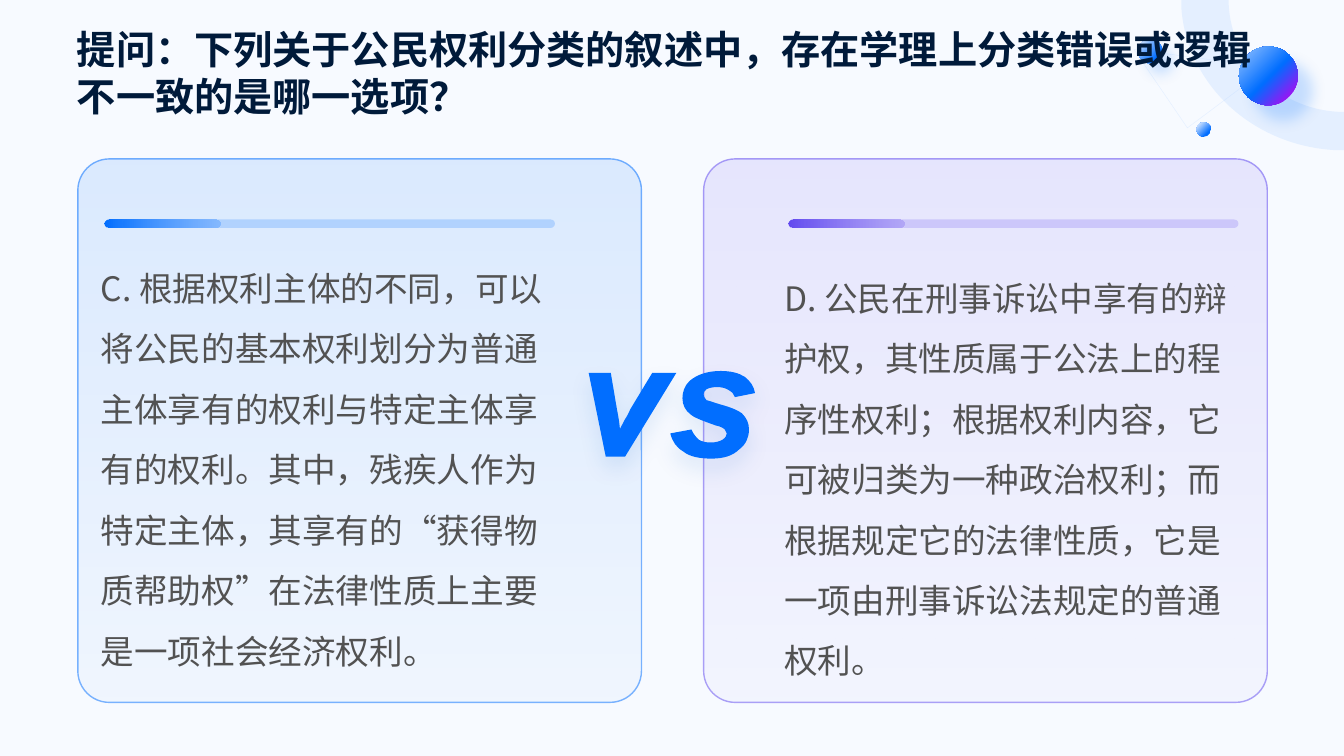
from dataclasses import dataclass

from lxml import etree
from pptx import Presentation
from pptx.dml.color import RGBColor
from pptx.enum.shapes import MSO_SHAPE
from pptx.enum.text import MSO_ANCHOR, MSO_AUTO_SIZE, PP_ALIGN
from pptx.oxml.ns import qn
from pptx.util import Pt

OVAL, ROUNDED, RECTANGLE = MSO_SHAPE.OVAL, MSO_SHAPE.ROUNDED_RECTANGLE, MSO_SHAPE.RECTANGLE
LEFT, TOP, BOTTOM = PP_ALIGN.LEFT, MSO_ANCHOR.TOP, MSO_ANCHOR.BOTTOM
NO_AUTOFIT = MSO_AUTO_SIZE.NONE
TITLE_ONLY = 5
SLIDE_WIDTH, SLIDE_HEIGHT = 960, 540


@dataclass(frozen=True)
class Theme:
    background: str = "F7FAFF"
    title: str = "001A3A"
    body: str = "525252"
    blue: str = "016EFF"
    light_blue: str = "67A8FF"
    violet: str = "624AF0"
    light_violet: str = "A192F6"
    purple: str = "9618F4"
    ring: str = "99C5FF"
    pale: str = "CCE2FF"
    shadow: str = "0052C0"
    title_font: str = "Arial"
    body_font: str = "Noto Sans CJK SC"
    title_size: int = 28
    body_size: int = 24


THEME = Theme()


@dataclass(frozen=True)
class Stop:
    position: int
    color: str
    alpha: int = 100


@dataclass(frozen=True)
class Shadow:
    color: str
    alpha: int
    blur: float
    distance: float
    angle: int


@dataclass(frozen=True)
class Ball:
    left: float
    top: float
    size: float
    stops: tuple[Stop, ...]
    shadow: Shadow | None = None


@dataclass(frozen=True)
class Panel:
    card_left: float
    content_left: float
    text_top: float
    color: str
    light: str
    text: str


TITLE = "提问：下列关于公民权利分类的叙述中，存在学理上分类错误或逻辑不一致的是哪一选项？"
PANELS = (
    Panel(55.6, 72, 176.8, THEME.blue, THEME.light_blue,
          "C. 根据权利主体的不同，可以将公民的基本权利划分为普通主体享有的权利与特定主体享有的权利。"
          "其中，残疾人作为特定主体，其享有的“获得物质帮助权”在法律性质上主要是一项社会经济权利。"),
    Panel(502.6, 560.2, 183.8, THEME.violet, THEME.light_violet,
          "D. 公民在刑事诉讼中享有的辩护权，其性质属于公法上的程序性权利；根据权利内容，"
          "它可被归类为一种政治权利；而根据规定它的法律性质，它是一项由刑事诉讼法规定的普通权利。"),
)
BALLS = (
    Ball(885, 33.2, 42, (Stop(0, THEME.ring), Stop(52, THEME.blue), Stop(85, THEME.purple)),
         Shadow(THEME.blue, 20, 10, 15, 45)),
    Ball(813, 28, 17.3, (Stop(12, THEME.pale), Stop(40, THEME.light_blue), Stop(75, THEME.blue)),
         Shadow(THEME.blue, 20, 10, 10, 45)),
    Ball(854.6, 87.3, 10.4, (Stop(13, THEME.pale), Stop(75, THEME.blue))),
)

# Outlines in points: a pair is a corner, six numbers are a cubic curve.
Outline = list[tuple[float, ...]]
TRIANGLE: Outline = [(810, 35.3), (905.8, 48.2), (848.2, 91.4)]
RING: Outline = [
    (843.8, 0), (877.7, 0), (877.7, 3.6), (879.8, 44.6, 913.7, 77.8, 956.2, 79.9),
    (960, 79.9), (960, 107.3), (954.7, 107.3), (894.9, 104.4, 847.4, 60.5, 843.8, 5)]
LETTER_V: Outline = [
    (26, 61.2), (12.2, 61.2), (0, 1.4), (15.8, 1.4), (20.2, 27.4),
    (21.6, 34.6, 22.3, 39.6, 22.3, 41.8), (22.3, 41, 23.8, 38.9, 25.9, 34.6),
    (28.8, 30.2, 29.5, 27.4, 30.2, 26.6), (45.4, 1.4), (62.6, 1.4)]
LETTER_S: Outline = [
    (58.3, 44.6), (73.4, 41.8), (74.9, 45.4, 77, 47.5, 78.5, 49),
    (80.6, 50.4, 83.5, 51.1, 87.1, 51.1), (90.7, 51.1, 93.6, 50.4, 95.8, 49),
    (97.9, 47.5, 98.6, 46.1, 98.6, 44.6), (98.6, 43.2, 97.9, 42.5, 97.2, 41.8),
    (96.5, 41, 94.3, 39.6, 90.7, 38.9), (80.6, 35.3, 74.9, 33.1, 72.7, 31),
    (69.1, 28.1, 67, 24.5, 67, 19.4), (67, 15.1, 68.4, 10.8, 72, 7.2),
    (77, 2.9, 84.2, 0, 94.3, 0), (101.5, 0, 107.3, 1.4, 111.6, 4.3),
    (115.2, 7.2, 118.1, 10.8, 118.8, 15.8), (104.4, 18.7),
    (103, 15.8, 102.2, 14.4, 100.1, 13.7), (97.9, 12.2, 95, 11.5, 91.4, 11.5),
    (88.6, 11.5, 85.7, 12.2, 84.2, 13), (82.8, 14.4, 82.1, 15.1, 82.1, 16.6),
    (82.1, 18, 82.8, 19.4, 84.2, 20.9), (85, 20.9, 88.6, 22.3, 93.6, 23.8),
    (101.5, 25.9, 106.6, 28.1, 109.4, 30.2), (113, 33.8, 114.5, 37.4, 114.5, 41.8),
    (114.5, 47.5, 112.3, 52.6, 107.3, 56.2), (103, 60.5, 96.5, 62.6, 87.8, 62.6),
    (79.2, 62.6, 72, 61.2, 67.7, 57.6), (62.6, 54.7, 59.8, 50.4, 58.3, 44.6)]


def add_color(parent, color: str, alpha: int) -> None:
    element = etree.SubElement(parent, qn("a:srgbClr"), val=color)
    if alpha < 100:
        etree.SubElement(element, qn("a:alpha"), val=str(alpha * 1000))


def paint(fill, properties, color: str, alpha: int) -> None:
    """Make a fill solid; properties is the XML element that holds it."""
    fill.solid()
    fill.fore_color.rgb = RGBColor.from_string(color)
    if alpha < 100:
        color_element = properties.find(qn("a:solidFill"))[0]
        etree.SubElement(color_element, qn("a:alpha"), val=str(alpha * 1000))


def fill_solid(shape, color: str, alpha: int = 100) -> None:
    paint(shape.fill, shape.element.spPr, color, alpha)


def draw_border(shape, color: str, alpha: int, width: float) -> None:
    shape.line.width = Pt(width)
    paint(shape.line.fill, shape.element.spPr.find(qn("a:ln")), color, alpha)


def fill_gradient(shape, stops: tuple[Stop, ...], angle: int | None = None) -> None:
    """Fill along an angle, or outward from the top left corner if there is none."""
    shape.fill.gradient()
    gradient = shape.element.spPr.find(qn("a:gradFill"))
    for child in list(gradient):
        gradient.remove(child)
    stop_list = etree.SubElement(gradient, qn("a:gsLst"))
    for stop in stops:
        add_color(etree.SubElement(stop_list, qn("a:gs"), pos=str(stop.position * 1000)),
                  stop.color, stop.alpha)
    if angle is None:
        circle = etree.SubElement(gradient, qn("a:path"))
        circle.set("path", "circle")
        etree.SubElement(circle, qn("a:fillToRect"), r="100000", b="100000")
    else:
        etree.SubElement(gradient, qn("a:lin"), ang=str(angle * 60000), scaled="0")


def add_shadow(shape, shadow: Shadow) -> None:
    effects = shape.element.spPr.find(qn("a:effectLst"))
    outer = etree.SubElement(
        effects, qn("a:outerShdw"), blurRad=str(Pt(shadow.blur)), dist=str(Pt(shadow.distance)),
        dir=str(shadow.angle * 60000), algn="ctr", rotWithShape="0")
    add_color(outer, shadow.color, shadow.alpha)


def add_plain_shape(slide, kind, left: float, top: float, width: float, height: float):
    shape = slide.shapes.add_shape(kind, Pt(left), Pt(top), Pt(width), Pt(height))
    shape.shadow.inherit = False
    shape.line.fill.background()
    return shape


def add_outline(slide, outlines: list[Outline], left: float = 0, top: float = 0):
    """Draw closed outlines as one shape, bending the segments that are curves."""
    contours = [[[(Pt(left + x), Pt(top + y)) for x, y in zip(step[::2], step[1::2])]
                 for step in outline] for outline in outlines]
    builder = slide.shapes.build_freeform(*contours[0][0][-1])
    for index, contour in enumerate(contours):
        if index:
            builder.move_to(*contour[0][-1])
        builder.add_line_segments([step[-1] for step in contour[1:]], close=True)
    shape = builder.convert_to_shape()
    shape.shadow.inherit = False
    shape.line.fill.background()
    steps = [step for contour in contours for step in contour[1:]]
    for segment, step in zip(list(shape.element.iter(qn("a:lnTo"))), steps):
        if len(step) == 3:
            curve = etree.Element(qn("a:cubicBezTo"))
            for x, y in step:
                etree.SubElement(curve, qn("a:pt"), x=str(x - shape.left), y=str(y - shape.top))
            segment.getparent().replace(segment, curve)
    return shape


def write_text(shape, text: str, font_name: str, size: int, color: str,
               anchor, spacing: float, bold: bool = False) -> None:
    frame = shape.text_frame
    frame.word_wrap, frame.auto_size, frame.vertical_anchor = True, NO_AUTOFIT, anchor
    frame.margin_left = frame.margin_top = frame.margin_right = frame.margin_bottom = 0
    frame.text = text
    paragraph = frame.paragraphs[0]
    paragraph.alignment, paragraph.line_spacing = LEFT, spacing
    font = paragraph.font
    font.name, font.size, font.bold = font_name, Pt(size), bold
    font.color.rgb = RGBColor.from_string(color)


def add_decoration(slide) -> None:
    backdrop = add_plain_shape(slide, RECTANGLE, 0, 0, SLIDE_WIDTH, SLIDE_HEIGHT)
    fill_solid(backdrop, THEME.background)
    triangle = add_outline(slide, [TRIANGLE])
    triangle.fill.background()
    draw_border(triangle, THEME.pale, 50, 0.25)
    fill_solid(add_outline(slide, [RING]), THEME.ring, 20)
    for ball in BALLS:
        shape = add_plain_shape(slide, OVAL, ball.left, ball.top, ball.size, ball.size)
        fill_gradient(shape, ball.stops)
        if ball.shadow:
            add_shadow(shape, ball.shadow)


def add_title(slide) -> None:
    title = slide.shapes.title
    title.left, title.top, title.width, title.height = Pt(55), Pt(28), Pt(850), Pt(57)
    write_text(title, TITLE, THEME.title_font, THEME.title_size, THEME.title, BOTTOM, 1.0, True)
    title.element.getparent().append(title.element)  # in front of the decoration


def add_panel(slide, panel: Panel) -> None:
    card = add_plain_shape(slide, ROUNDED, panel.card_left, 113.5, 402.6, 388.2)
    card.adjustments[0] = 0.058
    fill_gradient(card, (Stop(0, panel.light, 5), Stop(100, panel.light, 20)), 270)
    draw_border(card, panel.color, 50, 1)
    track = add_plain_shape(slide, ROUNDED, panel.content_left + 15.4, 156.8, 309, 6)
    fill_solid(track, panel.color, 20)
    progress = add_plain_shape(slide, ROUNDED, panel.content_left + 2.8, 156.8, 83, 6)
    fill_gradient(progress, (Stop(0, panel.light, 60), Stop(100, panel.color)), 180)
    for bar in (track, progress):
        bar.adjustments[0] = 0.5
    box = slide.shapes.add_textbox(Pt(panel.content_left), Pt(panel.text_top), Pt(327.6), Pt(306))
    write_text(box, panel.text, THEME.body_font, THEME.body_size, THEME.body, TOP, 1.5)


def main() -> None:
    presentation = Presentation()
    presentation.slide_width, presentation.slide_height = Pt(SLIDE_WIDTH), Pt(SLIDE_HEIGHT)
    slide = presentation.slides.add_slide(presentation.slide_layouts[TITLE_ONLY])
    add_decoration(slide)
    add_title(slide)
    for panel in reversed(PANELS):
        add_panel(slide, panel)
    versus = add_outline(slide, [LETTER_V, LETTER_S], 420.5, 265)
    fill_solid(versus, THEME.blue)
    add_shadow(versus, Shadow(THEME.shadow, 10, 16, 8, 90))
    presentation.save("out.pptx")


if __name__ == "__main__":
    main()
